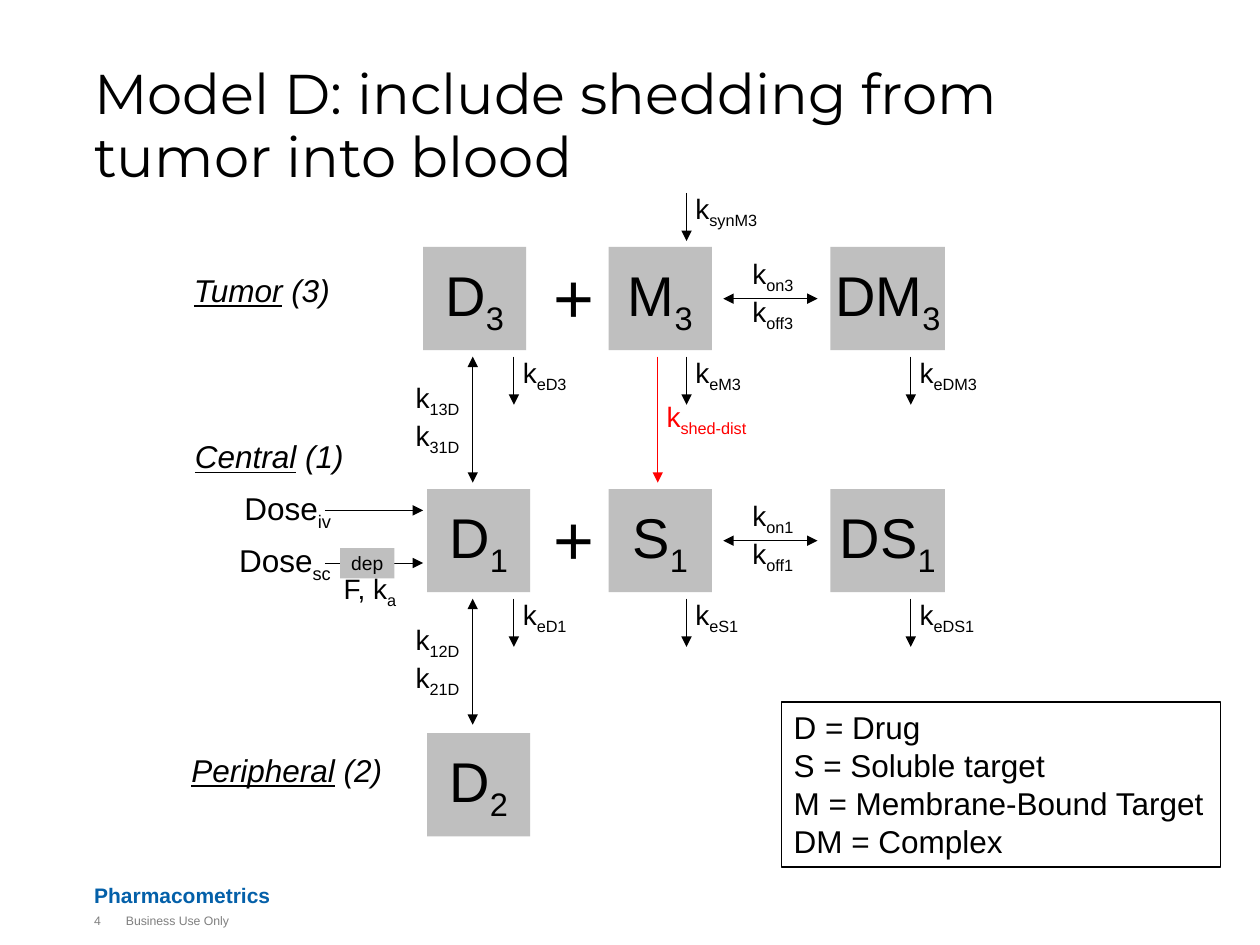
"""Draw the compartment diagram of Model D with shedding from tumor into blood."""
from dataclasses import dataclass

from lxml import etree
from pptx import Presentation
from pptx import util as u
from pptx.dml.color import RGBColor
from pptx.enum import shapes, text
from pptx.oxml import ns

Cm = u.Cm
LEFT, CENTER = text.PP_ALIGN.LEFT, text.PP_ALIGN.CENTER
TOP, MIDDLE, BOTTOM = text.MSO_ANCHOR.TOP, text.MSO_ANCHOR.MIDDLE, text.MSO_ANCHOR.BOTTOM


@dataclass(frozen=True)
class Theme:
    ink: str = "000000"
    accent: str = "FF0000"
    box: str = "BFBFBF"
    paper: str = "FFFFFF"
    brand: str = "0460A9"
    muted: str = "7F7F7F"
    body_font: str = "Arial"
    title_font: str = "Montserrat"
    title: int = 32
    symbol: int = 32
    plus: int = 40
    label: int = 18
    rate: int = 16
    unit: int = 12
    depot: int = 11
    footer: int = 7
    arrow: float = 0.5
    border: float = 0.75


class Diagram:
    def __init__(self, slide, theme):
        self.slide = slide
        self.theme = theme

    def fill_text(self, shape, lines, size, color=None, font=None, align=LEFT,
                  anchor=TOP, inset=(0, 0), wrap=True):
        frame = shape.text_frame
        frame.word_wrap = wrap
        frame.vertical_anchor = anchor
        frame.margin_left = frame.margin_right = Cm(inset[0])
        frame.margin_top = frame.margin_bottom = Cm(inset[1])
        for index, line in enumerate(lines):
            paragraph = frame.add_paragraph() if index else frame.paragraphs[0]
            paragraph.alignment = align
            paragraph.font.size = u.Pt(size)
            paragraph.font.name = font or self.theme.body_font
            paragraph.font.color.rgb = RGBColor.from_string(color or self.theme.ink)
            base, _, subscript = line.partition("_")
            paragraph.add_run().text = base
            if subscript:
                lowered = paragraph.add_run()
                lowered.text = subscript
                lowered.font._element.set("baseline", "-25000")
        return frame.paragraphs[0]

    def text(self, x, y, w, h, lines, size, **style):
        shape = self.slide.shapes.add_textbox(Cm(x), Cm(y), Cm(w), Cm(h))
        return self.fill_text(shape, lines, size, **style)

    def box(self, x, y, w, h, lines, size, fill=None, border=None, **style):
        shape = self.slide.shapes.add_shape(
            shapes.MSO_SHAPE.RECTANGLE, Cm(x), Cm(y), Cm(w), Cm(h))
        shape.shadow.inherit = False
        shape.fill.solid()
        shape.fill.fore_color.rgb = RGBColor.from_string(fill or self.theme.box)
        if border:
            shape.line.color.rgb = RGBColor.from_string(border)
            shape.line.width = u.Pt(self.theme.border)
        else:
            shape.line.fill.background()
        return self.fill_text(shape, lines, size, **style)

    def symbol(self, x, y, w, name):
        self.box(x, y, w, BOX, [name], self.theme.symbol, align=CENTER, anchor=MIDDLE)

    def rate(self, x, y, *names, w=1.83, **style):
        self.text(x, y, w, 0.69 * len(names), names, self.theme.rate, **style)

    def arrow(self, x1, y1, x2, y2, color=None, both=False):
        line = self.slide.shapes.add_connector(
            shapes.MSO_CONNECTOR.STRAIGHT, Cm(x1), Cm(y1), Cm(x2), Cm(y2))
        line.line.color.rgb = RGBColor.from_string(color or self.theme.ink)
        line.line.width = u.Pt(self.theme.arrow)
        for end in ["headEnd", "tailEnd"] if both else ["tailEnd"]:
            etree.SubElement(line.line._get_or_add_ln(), ns.qn("a:" + end), type="triangle")
        etree.SubElement(line._element.spPr, ns.qn("a:effectLst"))

    def heading(self, x, y, w, name, number):
        paragraph = self.text(x, y, w, 1.02, [name], self.theme.label, inset=(0.25, 0.13))
        paragraph.font.italic = True
        paragraph.runs[0].font.underline = True
        paragraph.add_run().text = f" ({number})"


theme = Theme()
deck = Presentation()
deck.slide_width, deck.slide_height = Cm(25.4), Cm(19.05)
diagram = Diagram(deck.slides.add_slide(deck.slide_layouts[6]), theme)

BOX, WIDE_BOX = 2.08, 2.31
TUMOR, CENTRAL, PERIPHERAL = 4.98, 9.86, 14.78
DRUG, TARGET, COMPLEX = 8.61, 12.27, 16.74
EXITS = (10.36, 13.84, 18.36)
EXIT_LENGTH, LABEL_GAP = 0.97, 0.18
EXCHANGE = 9.53
BELOW, ABOVE_NEXT = 2.21, 4.75

title = diagram.text(1.9, 1.27, 21.59, 2.67,
                     ["Model D: include shedding from tumor into blood"],
                     theme.title, font=theme.title_font)
title.line_spacing = 0.95
unit = diagram.text(1.9, 17.65, 16.51, 0.64, ["Pharmacometrics"], theme.unit,
                    color=theme.brand, anchor=BOTTOM)
unit.font.bold = True
for x, w, footer in [(1.9, 0.64, "4"), (2.54, 15.88, "Business Use Only")]:
    diagram.text(x, 18.42, w, 0.64, [footer], theme.footer, color=theme.muted)

for top, drug_x, target, number, exchange in [
        (TUMOR, DRUG - 0.08, "M", 3, ("k_13D", "k_31D")),
        (CENTRAL, DRUG, "S", 1, ("k_12D", "k_21D"))]:
    species = ("D", target, "D" + target)
    for x, w, name in zip((drug_x, TARGET, COMPLEX), (BOX, BOX, WIDE_BOX), species):
        diagram.symbol(x, top, w, f"{name}_{number}")
    diagram.text(11.15, top + 0.12, 0.89, 1.7, ["+"], theme.plus, anchor=MIDDLE)
    diagram.rate(14.73, top + 0.19, f"k_on{number}", f"k_off{number}", w=1.7, align=CENTER)
    diagram.arrow(14.58, top + BOX / 2, 16.48, top + BOX / 2, both=True)
    for x, name in zip(EXITS, species):
        diagram.arrow(x, top + BELOW, x, top + BELOW + EXIT_LENGTH)
        diagram.rate(x + LABEL_GAP, top + BELOW - 0.03, f"k_e{name}{number}")
    diagram.arrow(EXCHANGE, top + ABOVE_NEXT, EXCHANGE, top + BELOW, both=True)
    diagram.rate(8.38, top + 2.69, *exchange, w=1.12)

diagram.symbol(DRUG, PERIPHERAL, BOX, "D_2")

synthesis_top = TUMOR - 1.09
diagram.arrow(EXITS[1], synthesis_top, EXITS[1], synthesis_top + EXIT_LENGTH)
diagram.rate(EXITS[1] + LABEL_GAP, synthesis_top - 0.03, "k_synM3")
diagram.arrow(13.26, TUMOR + BELOW, 13.26, TUMOR + ABOVE_NEXT, color=theme.accent)
diagram.rate(13.26 + LABEL_GAP, 8.05, "k_shed-dist", color=theme.accent, wrap=False)

for x, y, w, dose, arrow_y in [(4.9, 9.86, 1.8, "Dose_iv", 10.29),
                               (4.78, 10.9, 1.93, "Dose_sc", 11.35)]:
    diagram.text(x, y, w, 0.76, [dose], theme.label, align=CENTER, wrap=False)
    diagram.arrow(6.55, arrow_y, 8.53, arrow_y)
diagram.box(6.86, 11.05, 1.09, 0.61, ["dep"], theme.depot, align=CENTER, anchor=MIDDLE)
diagram.rate(6.93, 11.53, "F, k_a")

diagram.heading(3.66, 5.33, 5.1, "Tumor", 3)
diagram.heading(3.68, 8.69, 4.85, "Central", 1)
diagram.heading(3.61, 15.01, 5.72, "Peripheral", 2)

diagram.box(15.75, 14.15, 8.86, 3.33,
            ["D = Drug", "S = Soluble target", "M = Membrane-Bound Target", "DM = Complex"],
            theme.label, fill=theme.paper, border=theme.ink, inset=(0.25, 0.13), wrap=False)

deck.save("out.pptx")
